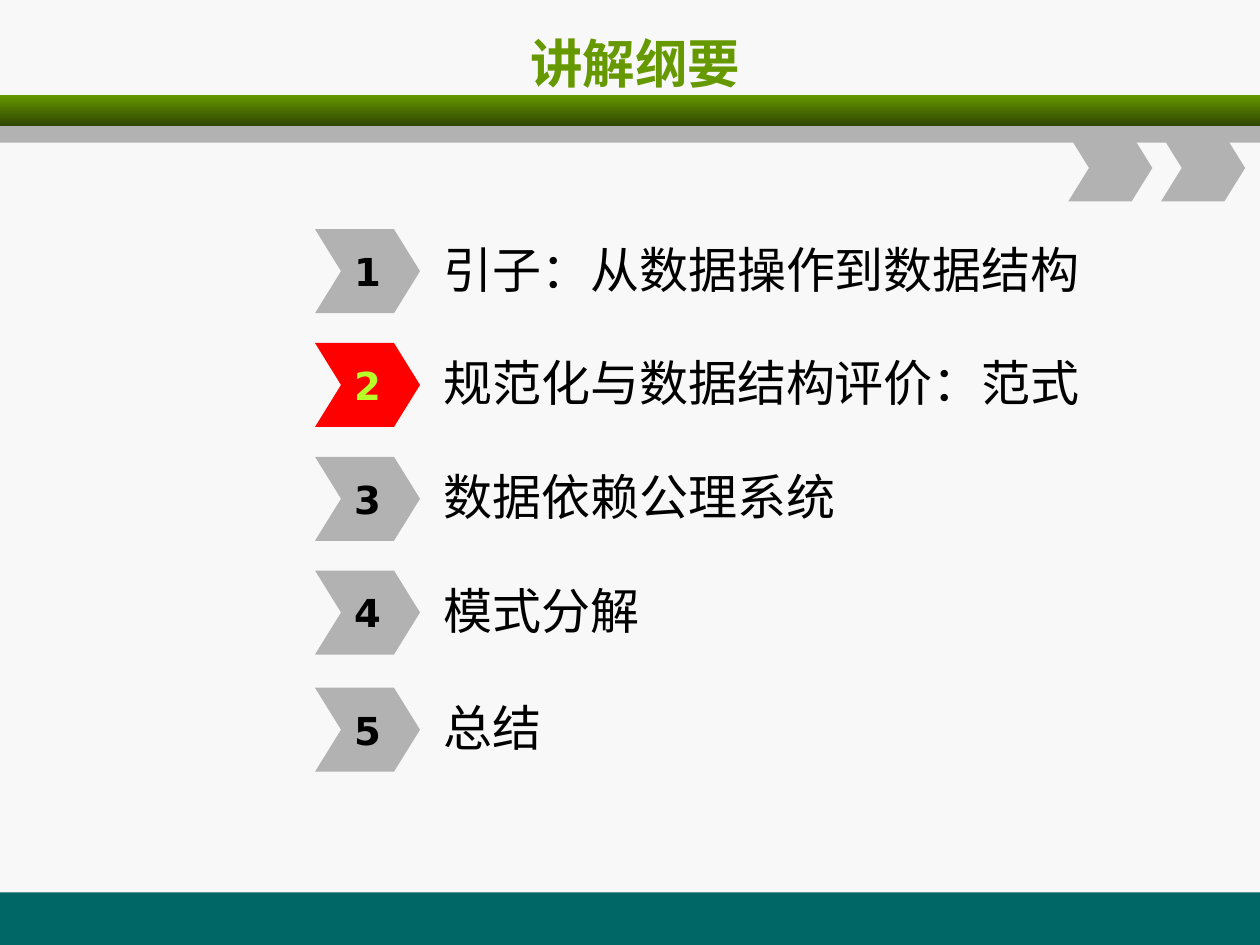
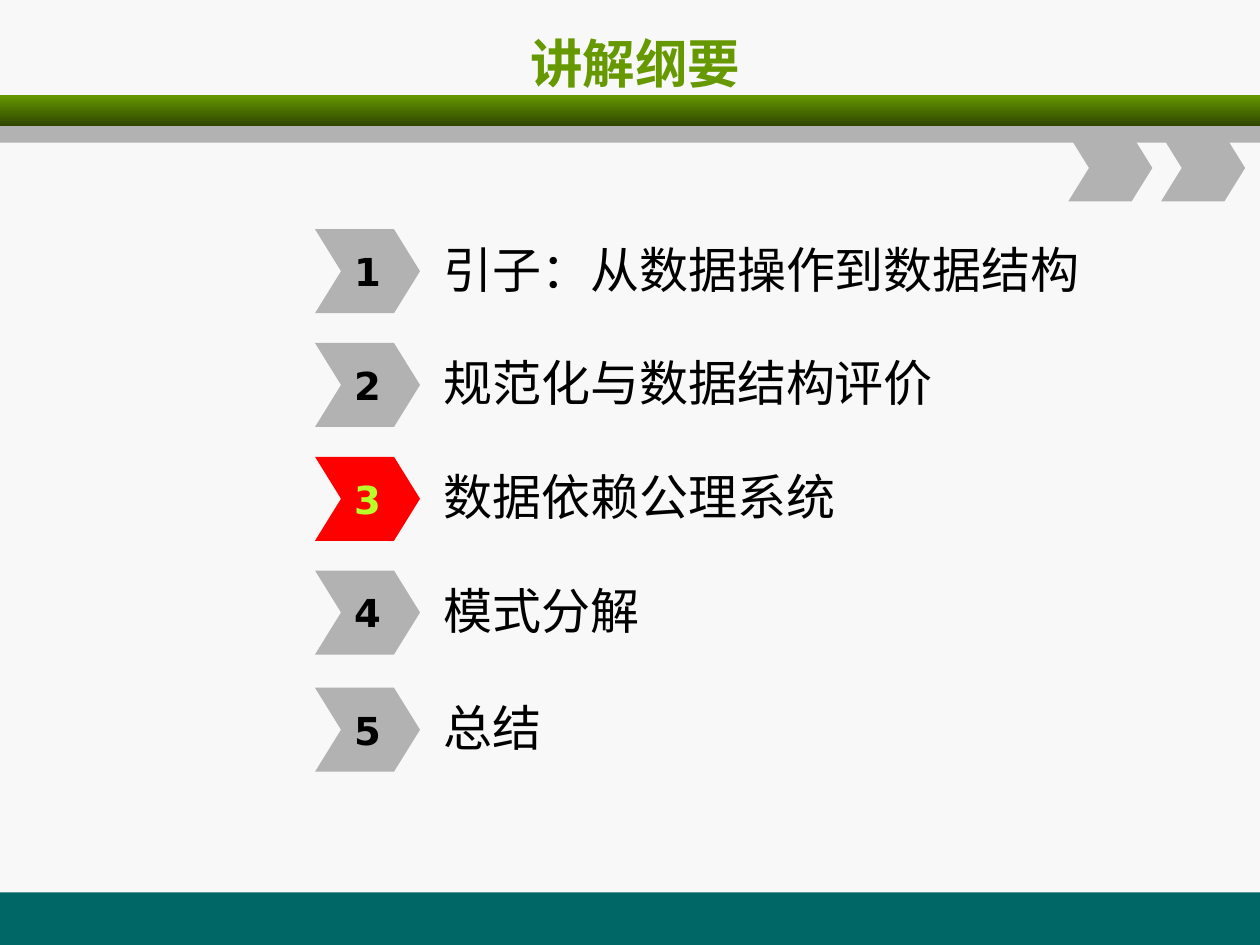
from dataclasses import dataclass

from lxml.etree import SubElement
from pptx import Presentation
from pptx.dml.color import RGBColor
from pptx.enum.shapes import MSO_SHAPE
from pptx.enum.text import MSO_ANCHOR, MSO_AUTO_SIZE, PP_ALIGN
from pptx.oxml.ns import qn
from pptx.util import Pt


@dataclass(frozen=True)
class Theme:
    background: str = "F8F8F8"
    green: str = "669900"
    dark_green: str = "2F4600"
    gray: str = "B2B2B2"
    footer: str = "006666"
    text: str = "000000"
    active_fill: str = "FF0000"
    active_text: str = "B8FF29"
    latin_font: str = "DejaVu Sans"
    chinese_font: str = "Noto Sans CJK SC"
    title_size: int = 30
    label_size: int = 28
    number_size: int = 22


WIDTH, HEIGHT = 720, 540
TITLE_ONLY = 5
ROW_TOPS = (131, 196, 261, 326, 393)
CHEVRON_LEFT, CHEVRON_WIDTH, CHEVRON_HEIGHT = 180, 60, 48
LABEL_WIDTH, LABEL_HEIGHT = 446, 42

TITLE = "讲解纲要"
INTRODUCTION = "引子：从数据操作到数据结构"
REMAINING_TOPICS = ("数据依赖公理系统", "模式分解", "总结")
OUTLINES = (
    ((INTRODUCTION, "规范化与数据结构评价：范式", *REMAINING_TOPICS), 2),
    ((INTRODUCTION, "规范化与数据结构评价", *REMAINING_TOPICS), 3),
)


def write_text(shape, text, *, size, color, latin, chinese, bold=False,
               align=PP_ALIGN.LEFT, wrap=True, left_inset=7.2):
    frame = shape.text_frame
    frame.auto_size = MSO_AUTO_SIZE.NONE
    frame.word_wrap = wrap
    frame.vertical_anchor = MSO_ANCHOR.MIDDLE
    frame.margin_left = Pt(left_inset)
    paragraph = frame.paragraphs[0]
    paragraph.alignment = align
    run = paragraph.add_run()
    run.text = text
    run.font.size = Pt(size)
    run.font.bold = bold
    run.font.color.rgb = RGBColor.from_string(color)
    run.font.name = latin
    SubElement(run.font._element, qn("a:ea"), typeface=chinese)


class Deck:
    def __init__(self, theme):
        self.theme = theme
        self.slide = None
        self.presentation = Presentation()
        self.presentation.slide_width = Pt(WIDTH)
        self.presentation.slide_height = Pt(HEIGHT)
        fill = self.presentation.slide_master.background.fill
        fill.solid()
        fill.fore_color.rgb = RGBColor.from_string(theme.background)

    def new_slide(self, title):
        layout = self.presentation.slide_layouts[TITLE_ONLY]
        self.slide = self.presentation.slides.add_slide(layout)
        self.frame()
        self.title(title)

    def frame(self):
        """Draw the bands and corner chevrons that every slide shares."""
        theme = self.theme
        self.band(510, 30, theme.footer)
        self.band(54, 18, theme.green, theme.dark_green)
        self.band(72, 9.5, theme.gray)
        for left in (610.5, 663.5):
            self.chevron(left, 77, 48, 38, theme.gray)

    def title(self, text):
        title = self.slide.shapes.title
        title.left, title.top = Pt(39), Pt(12)
        title.width, title.height = Pt(648), Pt(48)
        write_text(title, text, size=self.theme.title_size,
                   color=self.theme.green, latin=self.theme.latin_font,
                   chinese=self.theme.chinese_font, bold=True,
                   align=PP_ALIGN.CENTER)

    def shape(self, kind, left, top, width, height, color):
        shape = self.slide.shapes.add_shape(
            kind, Pt(left), Pt(top), Pt(width), Pt(height))
        shape.shadow.inherit = False
        shape.line.fill.background()
        shape.fill.solid()
        shape.fill.fore_color.rgb = RGBColor.from_string(color)
        return shape

    def band(self, top, height, color, end_color=None):
        """Draw a full-width bar, shaded downwards if end_color is given."""
        band = self.shape(MSO_SHAPE.RECTANGLE, 0, top, WIDTH, height, color)
        if end_color:
            band.fill.gradient()
            band.fill.gradient_angle = 270
            for stop, stop_color in zip(band.fill.gradient_stops,
                                        (color, end_color)):
                stop.color.rgb = RGBColor.from_string(stop_color)

    def chevron(self, left, top, width, height, color):
        chevron = self.shape(MSO_SHAPE.CHEVRON, left, top, width, height, color)
        chevron.adjustments[0] = 0.31
        return chevron

    def topic(self, top, number, text, active):
        theme = self.theme
        chevron = self.chevron(CHEVRON_LEFT, top, CHEVRON_WIDTH, CHEVRON_HEIGHT,
                               theme.active_fill if active else theme.gray)
        write_text(chevron, str(number), size=theme.number_size,
                   color=theme.active_text if active else theme.text,
                   latin=theme.latin_font, chinese=theme.chinese_font,
                   bold=True, align=PP_ALIGN.CENTER, wrap=False)
        label = self.slide.shapes.add_textbox(
            Pt(CHEVRON_LEFT + CHEVRON_WIDTH), Pt(top + 1.5),
            Pt(LABEL_WIDTH), Pt(LABEL_HEIGHT))
        write_text(label, text, size=theme.label_size, color=theme.text,
                   latin=theme.chinese_font, chinese=theme.chinese_font,
                   left_inset=13.5)

    def outline(self, topics, active_number):
        self.new_slide(TITLE)
        for number, (top, text) in enumerate(zip(ROW_TOPS, topics), start=1):
            self.topic(top, number, text, number == active_number)


def main():
    deck = Deck(Theme())
    for topics, active_number in OUTLINES:
        deck.outline(topics, active_number)
    deck.presentation.save("out.pptx")


if __name__ == "__main__":
    main()
